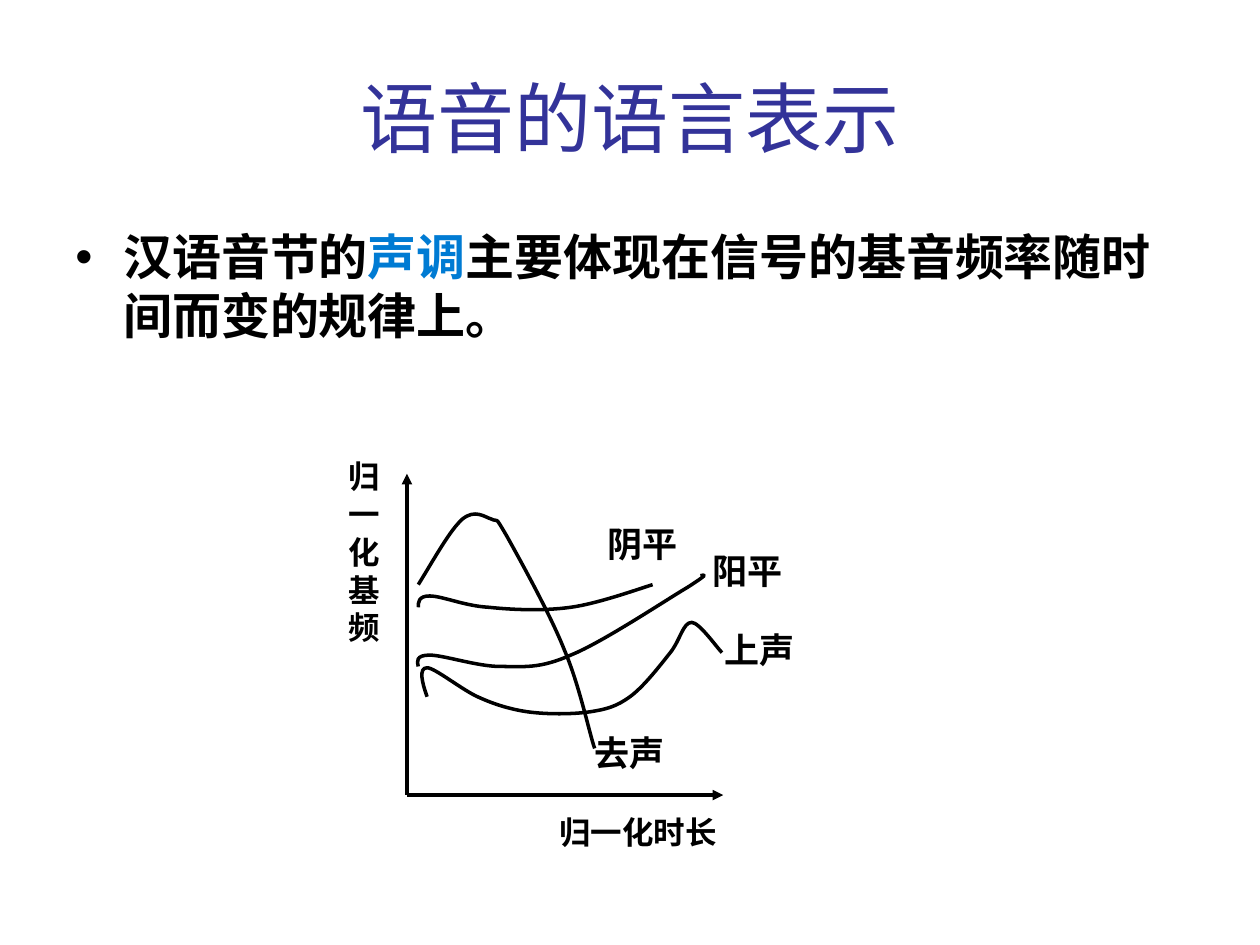
from dataclasses import dataclass

from lxml.etree import SubElement
from pptx import Presentation
from pptx.dml.color import RGBColor
from pptx.enum.shapes import MSO_CONNECTOR
from pptx.enum.text import MSO_ANCHOR, MSO_AUTO_SIZE, PP_ALIGN
from pptx.oxml.ns import qn
from pptx.util import Inches, Pt


@dataclass(frozen=True)
class Theme:
    font: str = "Arial"
    title_color: RGBColor = RGBColor(0x33, 0x33, 0x99)
    ink: RGBColor = RGBColor(0, 0, 0)
    accent: RGBColor = RGBColor(0x00, 0x7B, 0xD3)
    title_size: int = 44
    body_size: int = 28
    tone_size: int = 20
    axis_size: int = 18
    line_width: int = 2


class SlideBuilder:
    def __init__(self, slide, theme):
        self.slide, self.theme = slide, theme

    def style(self, paragraph, size, color, bold=True):
        font = paragraph.font
        font.name, font.size, font.bold = self.theme.font, Pt(size), bold
        font.color.rgb = color

    def stroke(self, line):
        line.color.rgb = self.theme.ink
        line.width = Pt(self.theme.line_width)

    def title(self, text, left, top, width, height):
        heading = self.slide.shapes.title
        heading.left, heading.top = Inches(left), Inches(top)
        heading.width, heading.height = Inches(width), Inches(height)
        heading.text_frame.text = text
        heading.text_frame.vertical_anchor = MSO_ANCHOR.MIDDLE
        paragraph = heading.text_frame.paragraphs[0]
        paragraph.alignment = PP_ALIGN.CENTER
        self.style(paragraph, self.theme.title_size, self.theme.title_color, False)

    def text_box(self, left, top, width, height, wrap):
        box = self.slide.shapes.add_textbox(
            Inches(left), Inches(top), Inches(width), Inches(height))
        box.text_frame.word_wrap = wrap
        return box.text_frame

    def bullet(self, parts, left, top, width, height):
        """Add one bulleted paragraph from (text, color) parts."""
        paragraph = self.text_box(left, top, width, height, True).paragraphs[0]
        self.style(paragraph, self.theme.body_size, self.theme.ink)
        paragraph.space_before = Pt(0.2 * self.theme.body_size)
        for text, color in parts:
            run = paragraph.add_run()
            run.text = text
            run.font.color.rgb = color
        properties = paragraph._p.get_or_add_pPr()
        indent = Inches(0.38)
        properties.set("marL", str(indent))
        properties.set("indent", str(-indent))
        # Bullet font and character must precede the default run properties
        defaults = properties.find(qn("a:defRPr"))
        for tag, attributes in (("a:buFont", {"typeface": self.theme.font}),
                                ("a:buChar", {"char": "•"})):
            defaults.addprevious(properties.makeelement(qn(tag), attributes))

    def label(self, text, size, left, top, width, height, wrap=False):
        frame = self.text_box(left, top, width, height, wrap)
        frame.auto_size = MSO_AUTO_SIZE.SHAPE_TO_FIT_TEXT
        frame.text = text
        self.style(frame.paragraphs[0], size, self.theme.ink)

    def arrow(self, start, end, tip):
        """Draw an axis whose arrowhead sits at its headEnd or tailEnd."""
        axis = self.slide.shapes.add_connector(
            MSO_CONNECTOR.STRAIGHT, *map(Inches, start + end))
        self.stroke(axis.line)
        SubElement(axis.line._get_or_add_ln(), qn("a:" + tip), type="triangle")
        SubElement(axis._element.spPr, qn("a:effectLst"))

    def curve(self, knots):
        """Draw a chain of cubic Béziers: a start, then three points for each."""
        start, *rest = [tuple(map(Inches, knot)) for knot in knots]
        builder = self.slide.shapes.build_freeform(*start)
        builder.add_line_segments(rest, close=False)
        outline = builder.convert_to_shape()
        outline.shadow.inherit = False
        outline.fill.background()
        self.stroke(outline.line)
        # Gather every three line points into one Bézier segment
        lines = list(outline._element.iter(qn("a:lnTo")))
        for first in range(0, len(lines), 3):
            bezier = lines[first].makeelement(qn("a:cubicBezTo"), {})
            lines[first].addprevious(bezier)
            for line in lines[first:first + 3]:
                bezier.append(line[0])
                line.getparent().remove(line)


# Pitch contours: Bézier knots of each tone
FALLING = [(3.32, 4.64), (3.45, 4.43), (3.57, 4.21), (3.67, 4.12),
           (3.77, 4.04), (3.84, 4.1), (3.9, 4.12),
           (3.96, 4.15), (3.92, 4.08), (4.02, 4.25),
           (4.12, 4.43), (4.37, 4.88), (4.48, 5.16),
           (4.6, 5.44), (4.68, 5.83), (4.72, 5.94)]
LEVEL = [(3.32, 4.82), (3.32, 4.78), (3.32, 4.73), (3.41, 4.73),
         (3.51, 4.73), (3.69, 4.81), (3.88, 4.82),
         (4.07, 4.84), (4.31, 4.85), (4.53, 4.82),
         (4.75, 4.79), (5.08, 4.67), (5.18, 4.64)]
RISING = [(3.32, 5.29), (3.31, 5.25), (3.3, 5.2), (3.41, 5.2),
          (3.52, 5.2), (3.79, 5.29), (3.97, 5.29),
          (4.16, 5.29), (4.28, 5.31), (4.53, 5.2),
          (4.78, 5.1), (5.29, 4.76), (5.46, 4.66),
          (5.63, 4.55), (5.6, 4.56), (5.56, 4.57)]
DIPPING = [(3.39, 5.53), (3.35, 5.42), (3.32, 5.3), (3.39, 5.3),
           (3.45, 5.3), (3.66, 5.47), (3.79, 5.53),
           (3.92, 5.59), (4.05, 5.63), (4.19, 5.65),
           (4.34, 5.67), (4.54, 5.67), (4.68, 5.65),
           (4.81, 5.63), (4.89, 5.61), (5, 5.53),
           (5.11, 5.45), (5.24, 5.28), (5.32, 5.18),
           (5.4, 5.08), (5.42, 4.94), (5.49, 4.94),
           (5.55, 4.94), (5.69, 5.14), (5.73, 5.18)]

# Tone name, label position
TONE_LABELS = [("阴平", 4.72, 4.1), ("阳平", 5.56, 4.31),
               ("上声", 5.65, 4.94), ("去声", 4.62, 5.76)]


def main():
    presentation = Presentation()
    presentation.slide_width, presentation.slide_height = Inches(10), Inches(7.5)
    theme = Theme()
    title_only = presentation.slide_layouts[5]
    page = SlideBuilder(presentation.slides.add_slide(title_only), theme)

    # Heading and statement
    page.title("语音的语言表示", 0.5, 0.3, 9, 1.25)
    page.bullet([("汉语音节的", theme.ink), ("声调", theme.accent),
                 ("主要体现在信号的基音频率随时间而变的规律上。", theme.ink)],
                0.5, 1.75, 9, 4.95)

    # Axes
    origin = (3.23, 6.31)
    page.arrow((3.23, 3.76), origin, "headEnd")
    page.arrow(origin, (5.74, 6.31), "tailEnd")

    # Tone contours and their names
    for contour in (FALLING, LEVEL, RISING, DIPPING):
        page.curve(contour)
    for name, left, top in TONE_LABELS:
        page.label(name, theme.tone_size, left, top, 0.76, 0.43)

    # Axis names
    page.label("归一化时长", theme.axis_size, 4.34, 6.4, 1.46, 0.4)
    page.label("归一化基频", theme.axis_size, 2.67, 3.58, 0.47, 1.6, wrap=True)

    presentation.save("out.pptx")


if __name__ == "__main__":
    main()
